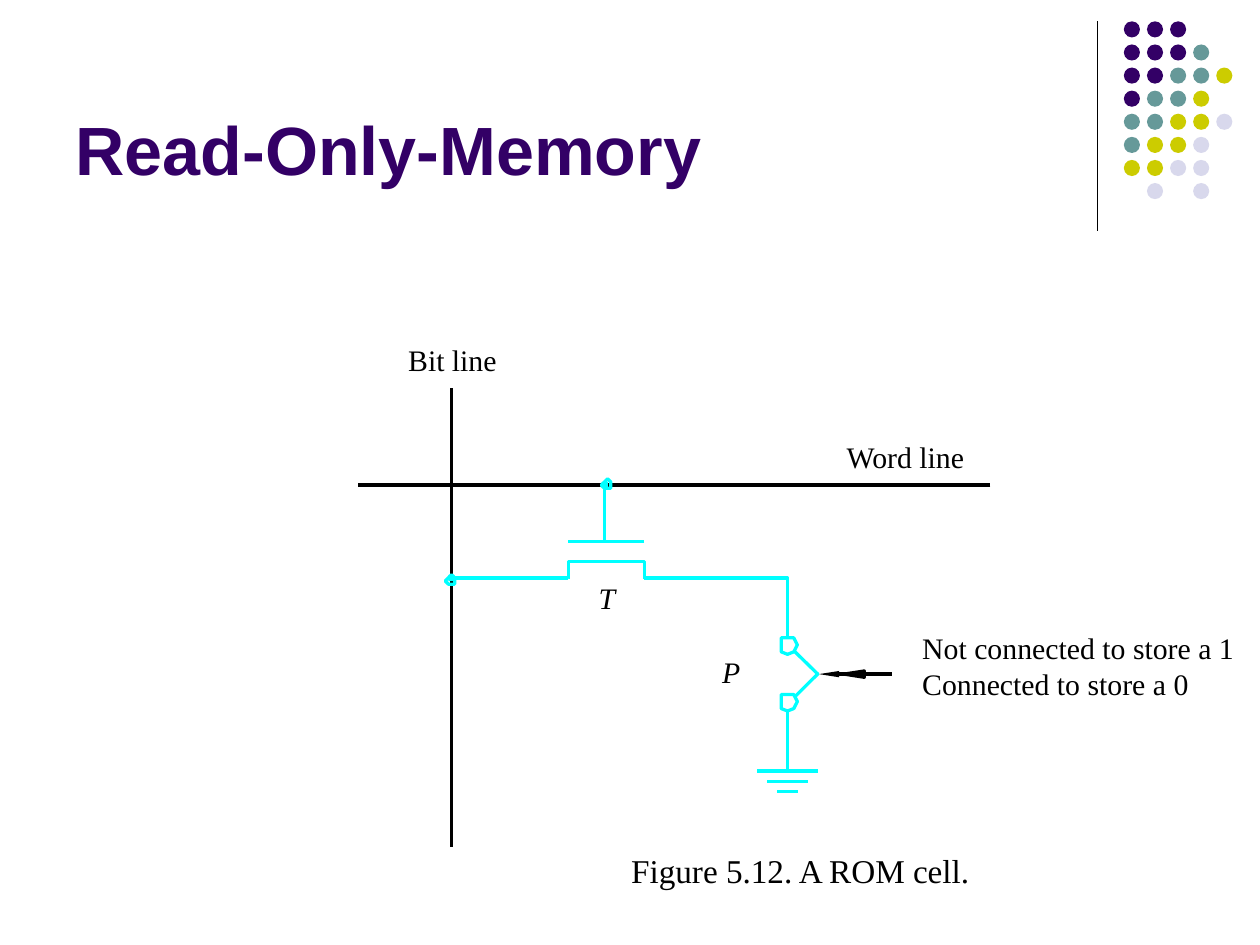
from dataclasses import dataclass
from typing import Optional

from pptx import Presentation
from pptx import util as u
from pptx.dml.color import RGBColor
from pptx.enum import shapes, text
from pptx.oxml.ns import qn
from lxml import etree

Points = list[tuple[float, float]]


@dataclass(frozen=True)
class Theme:
    title_font: str = "Arial"
    label_font: str = "Times New Roman"
    title_size: float = 39
    caption_size: float = 19
    label_size: float = 17
    wire_width: float = 1.87
    purple: str = "330066"
    teal: str = "669999"
    olive: str = "CCCC00"
    lilac: str = "D8D8EC"
    black: str = "000000"
    cyan: str = "00FFFF"
    white: str = "FFFFFF"


@dataclass(frozen=True)
class Wire:
    x1: float
    y1: float
    x2: float
    y2: float
    color: str
    width: float = Theme.wire_width


@dataclass(frozen=True)
class Label:
    words: str
    left: float
    top: float
    width: float
    height: float = 20.2
    size: float = Theme.label_size
    italic: bool = False


THEME = Theme()

# Dot ornament: one letter per colour, a space for a gap
DOT_ROWS = ("PPP", "PPPT", "PPTTO", "PTTO", "TTOOL", "TOOL", "OOLL", " L L")
DOT_COLORS = {"P": THEME.purple, "T": THEME.teal, "O": THEME.olive, "L": THEME.lilac}
DOT_LEFT, DOT_TOP, DOT_PITCH, DOT_SIZE = 642.2, 12.2, 13.2, 9.2

# Key positions of the circuit
BIT_X, WORD_Y, GATE_X = 258, 277.2, 345.6
SWITCH_X, DRAIN_Y, ARROW_Y = 450, 330.3, 385.2
CHANNEL_LEFT, CHANNEL_RIGHT = 324.7, 368.3
GROUND_Y, TERMINAL_TOPS = 440.6, (364.5, 396.9)

# Small outlines, relative to their anchor point
TERMINAL = [(0, 0), (-3.6, 0), (-3.6, 4), (-3.6, 8), (0, 9.4),
            (3.6, 8), (5.6, 4), (3.6, 0), (0, 0)]
JUNCTION_RING = [(0, 0), (-1.8, 1.8), (-3.6, 3.6), (-1.8, 5.4), (0, 5.4),
                 (1.8, 5.4), (1.8, 3.6), (1.8, 1.8), (0, 0)]
JUNCTION_DOT = [(-1.8, -1.8), (1.8, -1.8), (1.8, 1.8), (-1.8, 1.8), (-1.8, -1.8)]
ARROWHEAD = [(11.5, -1.8), (0, 0), (11.5, 1.8), (11.5, 0), (11.5, -1.8)]
PATCH = [(-1.8, -5.8), (-5.8, -1.8), (-5.8, 1.8), (-1.8, 5.8),
         (1.8, 5.8), (5.8, 1.8), (5.8, -1.8), (1.8, -5.8), (-1.8, -5.8)]

LABELS = [
    Label("Not connected to store a 1", 527, 360, 180),
    Label("Connected to store a 0", 527, 380.2, 154),
    Label("Figure 5.12. A ROM cell.", 360.7, 486, 196),
    Label("Word line", 483.8, 250.6, 69),
    Label("P", 412.6, 373.7, 11, italic=True),
    Label("Bit line", 233.3, 195.1, 52),
    Label("T", 342, 331.2, 15.1, italic=True),
]
LABELS[2] = Label("Figure 5.12. A ROM cell.", 360.7, 486, 196, 23, THEME.caption_size)


def paint(shape, fill: Optional[str], line: Optional[str]) -> None:
    shape.shadow.inherit = False
    if fill:
        shape.fill.solid()
        shape.fill.fore_color.rgb = RGBColor.from_string(fill)
    else:
        shape.fill.background()
    if line:
        shape.line.color.rgb = RGBColor.from_string(line)
        shape.line.width = u.Pt(THEME.wire_width)
    else:
        shape.line.fill.background()


def draw_wire(page, wire: Wire) -> None:
    line = page.shapes.add_connector(
        shapes.MSO_CONNECTOR.STRAIGHT,
        u.Pt(wire.x1), u.Pt(wire.y1), u.Pt(wire.x2), u.Pt(wire.y2))
    line.line.color.rgb = RGBColor.from_string(wire.color)
    line.line.width = u.Pt(wire.width)
    etree.SubElement(line._element.spPr, qn("a:effectLst"))


def draw_outline(page, points: Points, x: float = 0, y: float = 0,
                 fill: Optional[str] = None, line: Optional[str] = None) -> None:
    corners = [(u.Pt(x + dx), u.Pt(y + dy)) for dx, dy in points]
    builder = page.shapes.build_freeform(*corners[0], scale=1.0)
    builder.add_line_segments(corners[1:], close=fill is not None)
    paint(builder.convert_to_shape(), fill, line)


def draw_label(page, label: Label) -> None:
    box = page.shapes.add_textbox(
        u.Pt(label.left), u.Pt(label.top), u.Pt(label.width), u.Pt(label.height))
    frame = box.text_frame
    frame.margin_left = frame.margin_top = frame.margin_right = frame.margin_bottom = 0
    frame.word_wrap = False
    frame.auto_size = text.MSO_AUTO_SIZE.SHAPE_TO_FIT_TEXT
    frame.text = label.words
    font = frame.paragraphs[0].runs[0].font
    font.name, font.size, font.italic = THEME.label_font, u.Pt(label.size), label.italic
    font.color.rgb = RGBColor.from_string(THEME.black)


def draw_title(page, words: str) -> None:
    title = page.shapes.title
    title.left, title.top = u.Pt(36), u.Pt(9.4)
    title.width, title.height = u.Pt(594), u.Pt(102.2)
    frame = title.text_frame
    frame.text = words
    frame.vertical_anchor = text.MSO_ANCHOR.BOTTOM
    frame.auto_size = text.MSO_AUTO_SIZE.NONE
    para = frame.paragraphs[0]
    para.alignment = text.PP_ALIGN.LEFT
    font = para.runs[0].font
    font.name, font.size, font.bold = THEME.title_font, u.Pt(THEME.title_size), True
    font.color.rgb = RGBColor.from_string(THEME.purple)


def draw_ornament(page) -> None:
    draw_wire(page, Wire(627.1, 12.2, 627.1, 131.8, THEME.black, 0.75))
    group = page.shapes.add_group_shape()
    for row, letters in enumerate(DOT_ROWS):
        for column, letter in enumerate(letters):
            if letter in DOT_COLORS:
                dot = group.shapes.add_shape(
                    shapes.MSO_SHAPE.OVAL,
                    u.Pt(DOT_LEFT + column * DOT_PITCH), u.Pt(DOT_TOP + row * DOT_PITCH),
                    u.Pt(DOT_SIZE), u.Pt(DOT_SIZE))
                paint(dot, DOT_COLORS[letter], None)


def draw_circuit(page) -> None:
    # Word line, bit line and the arrow to the switch
    draw_wire(page, Wire(566, WORD_Y, 204.5, WORD_Y, THEME.black))
    draw_wire(page, Wire(BIT_X, 483.8, BIT_X, 221.8, THEME.black))
    draw_wire(page, Wire(479.5, ARROW_Y, 509.8, ARROW_Y, THEME.black))
    draw_outline(page, ARROWHEAD, 482.4, ARROW_Y, line=THEME.black)
    draw_outline(page, ARROWHEAD, 468, ARROW_Y, fill=THEME.black)

    # Switch terminals and contact
    draw_outline(page, PATCH, SWITCH_X, 368, fill=THEME.white)
    for top in TERMINAL_TOPS:
        draw_outline(page, TERMINAL, SWITCH_X, top, line=THEME.cyan)
    draw_outline(page, [(453.8, 372), (467.3, ARROW_Y), (453.8, 398.6)], line=THEME.cyan)

    # Ground symbol
    for step, half_width in enumerate((17.3, 11.5, 5.8)):
        y = GROUND_Y + step * 5.8
        draw_wire(page, Wire(SWITCH_X + half_width, y, SWITCH_X - half_width, y, THEME.cyan))
    draw_wire(page, Wire(SWITCH_X, GROUND_Y, SWITCH_X, 406.6, THEME.cyan))

    # Transistor: gate, channel with its open lower side, and leads
    draw_wire(page, Wire(CHANNEL_RIGHT, 309.6, CHANNEL_LEFT, 309.6, THEME.cyan))
    channel = page.shapes.add_shape(
        shapes.MSO_SHAPE.RECTANGLE, u.Pt(CHANNEL_LEFT), u.Pt(320.7),
        u.Pt(CHANNEL_RIGHT - CHANNEL_LEFT), u.Pt(9.5))
    paint(channel, None, THEME.cyan)
    draw_wire(page, Wire(325.7, 329.8, 367.3, 329.8, THEME.white, 6))
    draw_outline(page, [(SWITCH_X, TERMINAL_TOPS[0]), (SWITCH_X, DRAIN_Y),
                        (CHANNEL_RIGHT, DRAIN_Y)], line=THEME.cyan)
    draw_wire(page, Wire(CHANNEL_LEFT, DRAIN_Y, BIT_X, DRAIN_Y, THEME.cyan))
    draw_wire(page, Wire(GATE_X, 309.6, GATE_X, WORD_Y, THEME.cyan))

    # Junctions on the bit line and the word line
    for x, y, ring_x, ring_y in ((BIT_X, DRAIN_Y, BIT_X, 328.4),
                                 (GATE_X, WORD_Y, 347.2, 273.6)):
        draw_outline(page, JUNCTION_DOT, x, y, fill=THEME.cyan)
        draw_outline(page, JUNCTION_RING, ring_x, ring_y, line=THEME.cyan)


def main() -> None:
    deck = Presentation()
    deck.slide_width, deck.slide_height = u.Pt(720), u.Pt(540)
    page = deck.slides.add_slide(deck.slide_layouts[5])
    draw_ornament(page)
    draw_title(page, "Read-Only-Memory")
    draw_circuit(page)
    for label in LABELS:
        draw_label(page, label)
    deck.save("out.pptx")


if __name__ == "__main__":
    main()
